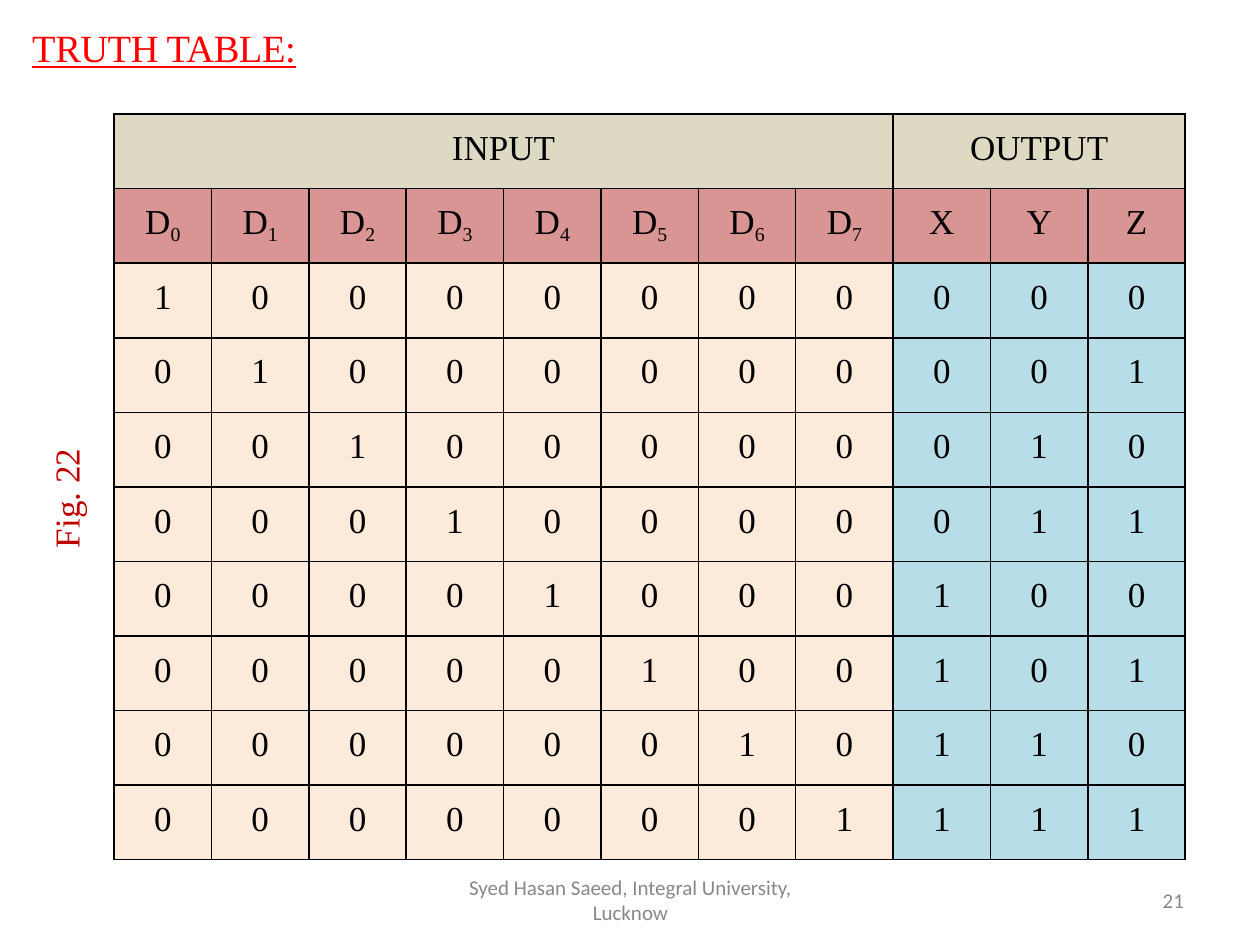
from dataclasses import dataclass

import pptx
import pptx.dml.color
import pptx.enum.text
import pptx.oxml
import pptx.oxml.ns
import pptx.shapes.base
import pptx.table
import pptx.text.text
import pptx.util

Cm = pptx.util.Cm
Pt = pptx.util.Pt
ALIGN = pptx.enum.text.PP_ALIGN


@dataclass(frozen=True)
class Theme:
    serif: str = "Times New Roman"
    sans: str = "Calibri"
    title_color: str = "FF0000"
    figure_color: str = "C00000"
    footer_color: str = "888888"
    ink: str = "000000"
    group_fill: str = "DDD9C3"
    name_fill: str = "D99593"
    input_fill: str = "FCEADA"
    output_fill: str = "B7DEE8"
    title_size: float = 22
    table_size: float = 20
    subscript_size: float = 19.5
    footer_size: float = 12
    border_width: float = 1


@dataclass(frozen=True)
class Style:
    font: str
    size: float
    color: str
    underline: bool = False
    spacing: float = 0


@dataclass(frozen=True)
class Label:
    lines: tuple[str, ...]
    left: float
    top: float
    width: float
    height: float
    style: Style
    align: ALIGN = ALIGN.LEFT
    line_height: float | None = None
    vertical: bool = False


THEME = Theme()
TABLE_STYLE = Style(THEME.serif, THEME.table_size, THEME.ink)
SUBSCRIPT_STYLE = Style(THEME.serif, THEME.subscript_size, THEME.ink)
FOOTER_STYLE = Style(THEME.sans, THEME.footer_size, THEME.footer_color)
TITLE_STYLE = Style(THEME.serif, THEME.title_size, THEME.title_color, True, -0.25)
FIGURE_STYLE = Style(THEME.serif, THEME.table_size, THEME.figure_color)

INPUTS = 8
OUTPUTS = "XYZ"
COLUMNS = INPUTS + len(OUTPUTS)
HEADER_ROWS = 2

TITLE = Label(("TRUTH TABLE:",), 0.65, 0.48, 5.49, 0.99, TITLE_STYLE)
LABELS = (
    Label(("Syed Hasan Saeed, Integral University,", "Lucknow"), 9.42, 17.7,
          6.58, 0.99, FOOTER_STYLE, ALIGN.CENTER, 12.4),
    Label(("21",), 23.44, 17.96, 0.54, 0.48, FOOTER_STYLE, line_height=12.4),
    Label(("Fig. 22",), 0.94, 8.97, 0.86, 2.08, FIGURE_STYLE,
          line_height=22.9, vertical=True),
)


def add_run(para: pptx.text.text._Paragraph, text: str, style: Style,
            baseline: int = 0) -> None:
    """Add a styled run; baseline is a percentage, negative for subscripts."""
    run = para.add_run()
    run.text = text
    font = run.font
    font.name = style.font
    font.size = Pt(style.size)
    font.bold = False
    font.underline = style.underline
    font.color.rgb = pptx.dml.color.RGBColor.from_string(style.color)
    properties = run._r.get_or_add_rPr()
    if style.spacing:
        properties.set("spc", str(round(style.spacing * 100)))
    if baseline:
        properties.set("baseline", str(baseline * 1000))


def fill_label(box: pptx.shapes.base.BaseShape, label: Label) -> None:
    """Place a text shape and write the label's lines in it."""
    box.left, box.top = Cm(label.left), Cm(label.top)
    box.width, box.height = Cm(label.width), Cm(label.height)
    frame = box.text_frame
    frame.word_wrap = True
    frame.auto_size = pptx.enum.text.MSO_AUTO_SIZE.SHAPE_TO_FIT_TEXT
    frame.vertical_anchor = pptx.enum.text.MSO_ANCHOR.TOP
    frame.margin_left = frame.margin_right = 0
    frame.margin_top = frame.margin_bottom = 0
    if label.vertical:
        frame._txBody.bodyPr.set("vert", "vert270")
    for index, line in enumerate(label.lines):
        para = frame.add_paragraph() if index else frame.paragraphs[0]
        para.alignment = label.align
        if label.line_height and index == 0:
            para.line_spacing = Pt(label.line_height)
        add_run(para, line, label.style)


def add_borders(cell: pptx.table._Cell) -> None:
    properties = cell._tc.get_or_add_tcPr()
    for side in ("lnL", "lnR", "lnT", "lnB"):
        properties.append(pptx.oxml.parse_xml(
            f'<a:{side} {pptx.oxml.ns.nsdecls("a")} w="{Pt(THEME.border_width)}">'
            f'<a:solidFill><a:srgbClr val="{THEME.ink}"/></a:solidFill></a:{side}>'))


def fill_cell(cell: pptx.table._Cell, color: str, text: str,
              subscript: str = "") -> None:
    cell.margin_left = cell.margin_right = cell.margin_bottom = 0
    cell.margin_top = Cm(0.3)
    cell.fill.solid()
    cell.fill.fore_color.rgb = pptx.dml.color.RGBColor.from_string(color)
    para = cell.text_frame.paragraphs[0]
    para.alignment = ALIGN.CENTER
    add_run(para, text, TABLE_STYLE)
    if subscript:
        add_run(para, subscript, SUBSCRIPT_STYLE, -21)


def add_truth_table(slide: pptx.slide.Slide) -> None:
    """Draw the 8-to-3 encoder table: one-hot inputs, binary outputs."""
    table = slide.shapes.add_table(
        HEADER_ROWS + INPUTS, COLUMNS,
        Cm(2.3), Cm(2.3), Cm(21.6), Cm(15.03)).table
    table.first_row = table.horz_banding = False
    for cell in table.iter_cells():
        add_borders(cell)

    for text, first, last in (("INPUT", 0, INPUTS - 1),
                              ("OUTPUT", INPUTS, COLUMNS - 1)):
        table.cell(0, first).merge(table.cell(0, last))
        fill_cell(table.cell(0, first), THEME.group_fill, text)

    names = [("D", str(number)) for number in range(INPUTS)]
    names += [(letter, "") for letter in OUTPUTS]
    for column, (letter, subscript) in enumerate(names):
        fill_cell(table.cell(1, column), THEME.name_fill, letter, subscript)

    for active in range(INPUTS):
        one_hot = "".join("1" if column == active else "0" for column in range(INPUTS))
        code = f"{active:0{len(OUTPUTS)}b}"
        for column, bit in enumerate(one_hot + code):
            color = THEME.input_fill if column < INPUTS else THEME.output_fill
            fill_cell(table.cell(HEADER_ROWS + active, column), color, bit)


def main() -> None:
    deck = pptx.Presentation()
    deck.slide_width, deck.slide_height = Cm(25.4), Cm(19.05)
    slide = deck.slides.add_slide(deck.slide_layouts.get_by_name("Title Only"))
    fill_label(slide.shapes.title, TITLE)
    add_truth_table(slide)
    for label in LABELS:
        box = slide.shapes.add_textbox(0, 0, 0, 0)
        fill_label(box, label)
    deck.save("out.pptx")


if __name__ == "__main__":
    main()
